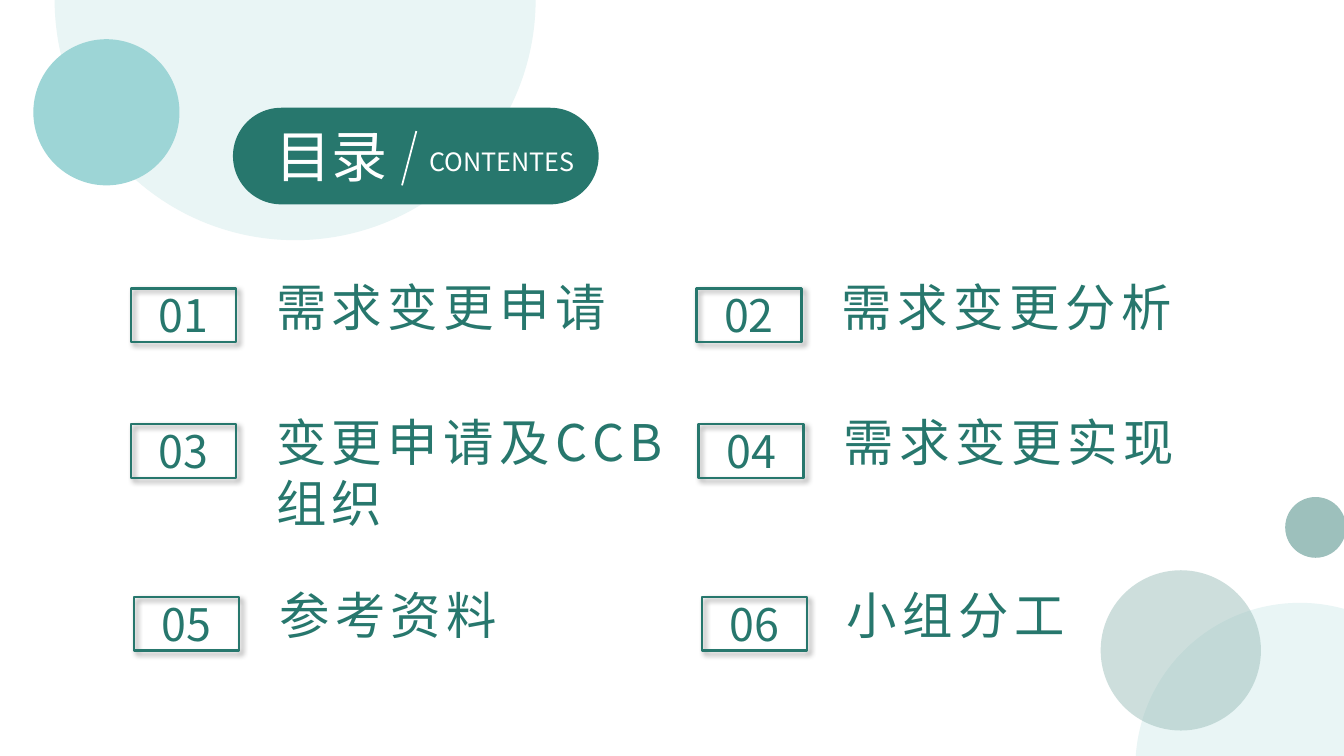
"""Build the contents slide with a title pill and six numbered topics."""
from lxml import etree
from pptx import Presentation
from pptx.dml.color import RGBColor
from pptx.enum.shapes import MSO_CONNECTOR, MSO_SHAPE
from pptx.enum.text import MSO_AUTO_SIZE, PP_ALIGN
from pptx.oxml.ns import qn
from pptx.util import Pt

OVAL = MSO_SHAPE.OVAL
RECTANGLE = MSO_SHAPE.RECTANGLE
PILL = MSO_SHAPE.ROUNDED_RECTANGLE
STRAIGHT = MSO_CONNECTOR.STRAIGHT
LEFT, CENTER = PP_ALIGN.LEFT, PP_ALIGN.CENTER
FIT = MSO_AUTO_SIZE.SHAPE_TO_FIT_TEXT

TOPICS = [
    ("需求变更申请", 93.6, 206, 272),
    ("需求变更分析", 497.4, 206, 272),
    ("变更申请及CCB组织", 93.6, 303, 306.6),
    ("需求变更实现", 499.1, 303, 272),
    ("参考资料", 95.8, 426.4, 272),
    ("小组分工", 501.4, 426.4, 272),
]


def color(value):
    return RGBColor.from_string(value)


class ContentsSlide:
    font = "Noto Sans CJK SC"
    green = "27776D"
    white = "FFFFFF"
    pale = "E9F5F5"
    aqua = "9DD5D6"
    sage = "9DC0BC"

    def __init__(self, presentation):
        self.slide = presentation.slides.add_slide(presentation.slide_layouts[6])
        self.shapes = self.slide.shapes

    def filled(self, kind, left, top, width, height, fill, opacity=100):
        shape = self.shapes.add_shape(kind, Pt(left), Pt(top), Pt(width), Pt(height))
        shape.shadow.inherit = False
        shape.fill.solid()
        shape.fill.fore_color.rgb = color(fill)
        shape.line.fill.background()
        if opacity < 100:
            fill_color = shape.fill._xPr.find(".//" + qn("a:srgbClr"))
            etree.SubElement(fill_color, qn("a:alpha"), val=str(opacity * 1000))
        return shape

    def circle(self, left, top, diameter, fill, opacity=100):
        self.filled(OVAL, left, top, diameter, diameter, fill, opacity)

    def frame(self, left, top, width, height):
        shape = self.shapes.add_shape(RECTANGLE, Pt(left), Pt(top), Pt(width), Pt(height))
        shape.fill.background()
        shape.line.color.rgb = color(self.green)
        shape.line.width = Pt(1.75)
        shape.shadow.inherit = False
        effects = shape._element.spPr.find(qn("a:effectLst"))
        shadow = etree.SubElement(
            effects, qn("a:outerShdw"), blurRad=str(Pt(4)), dist=str(Pt(3)),
            dir=str(45 * 60000), algn="tl", rotWithShape="0")
        black = etree.SubElement(shadow, qn("a:srgbClr"), val="000000")
        etree.SubElement(black, qn("a:alpha"), val="40000")

    def line(self, start_x, start_y, end_x, end_y):
        connector = self.shapes.add_connector(
            STRAIGHT, Pt(start_x), Pt(start_y), Pt(end_x), Pt(end_y))
        connector.line.color.rgb = color(self.white)
        connector.line.width = Pt(1.25)
        etree.SubElement(connector._element.spPr, qn("a:effectLst"))

    def text(self, text, left, top, width, height, *, size, fill, align=LEFT, spacing=0):
        box = self.shapes.add_textbox(Pt(left), Pt(top), Pt(width), Pt(height))
        frame = box.text_frame
        frame.word_wrap = True
        frame.auto_size = FIT
        paragraph = frame.paragraphs[0]
        paragraph.alignment = align
        run = paragraph.add_run()
        run.text = text
        run.font.size = Pt(size)
        run.font.name = self.font
        run.font.color.rgb = color(fill)
        properties = run._r.get_or_add_rPr()
        etree.SubElement(properties, qn("a:ea"), typeface=self.font)
        if spacing:
            properties.set("spc", str(spacing * 100))

    def title(self):
        pill = self.filled(PILL, 166.4, 77, 261.2, 69, self.green)
        pill.adjustments[0] = 0.5
        self.text("目录", 190, 83.5, 97.2, 55.4, size=40, fill=self.white)
        self.line(287.2, 132.4, 297.4, 93.6)
        self.text("CONTENTES", 299.5, 100.8, 128.2, 28.8, size=18, fill=self.white)

    def topic(self, number, label, left, top, width):
        self.frame(left, top, 75, 38.4)
        self.text(f"{number:02}", left + 2, top - 4, 71.2, 46, size=32,
                  fill=self.green, align=CENTER)
        self.text(label, left + 96.5, top - 12.6, width, 51, size=36,
                  fill=self.green, spacing=4)


def main():
    presentation = Presentation()
    presentation.slide_width = Pt(960)
    presentation.slide_height = Pt(540)
    contents = ContentsSlide(presentation)
    contents.circle(39, -172, 343.6, contents.pale)
    contents.circle(23.8, 28, 104.4, contents.aqua)
    contents.title()
    contents.circle(811, 430.6, 234.8, contents.pale)
    contents.circle(918, 355, 43.4, contents.sage)
    contents.circle(786.2, 407.3, 114.5, contents.sage, opacity=51)
    for number, topic in enumerate(TOPICS, 1):
        contents.topic(number, *topic)
    presentation.save("out.pptx")


if __name__ == "__main__":
    main()
